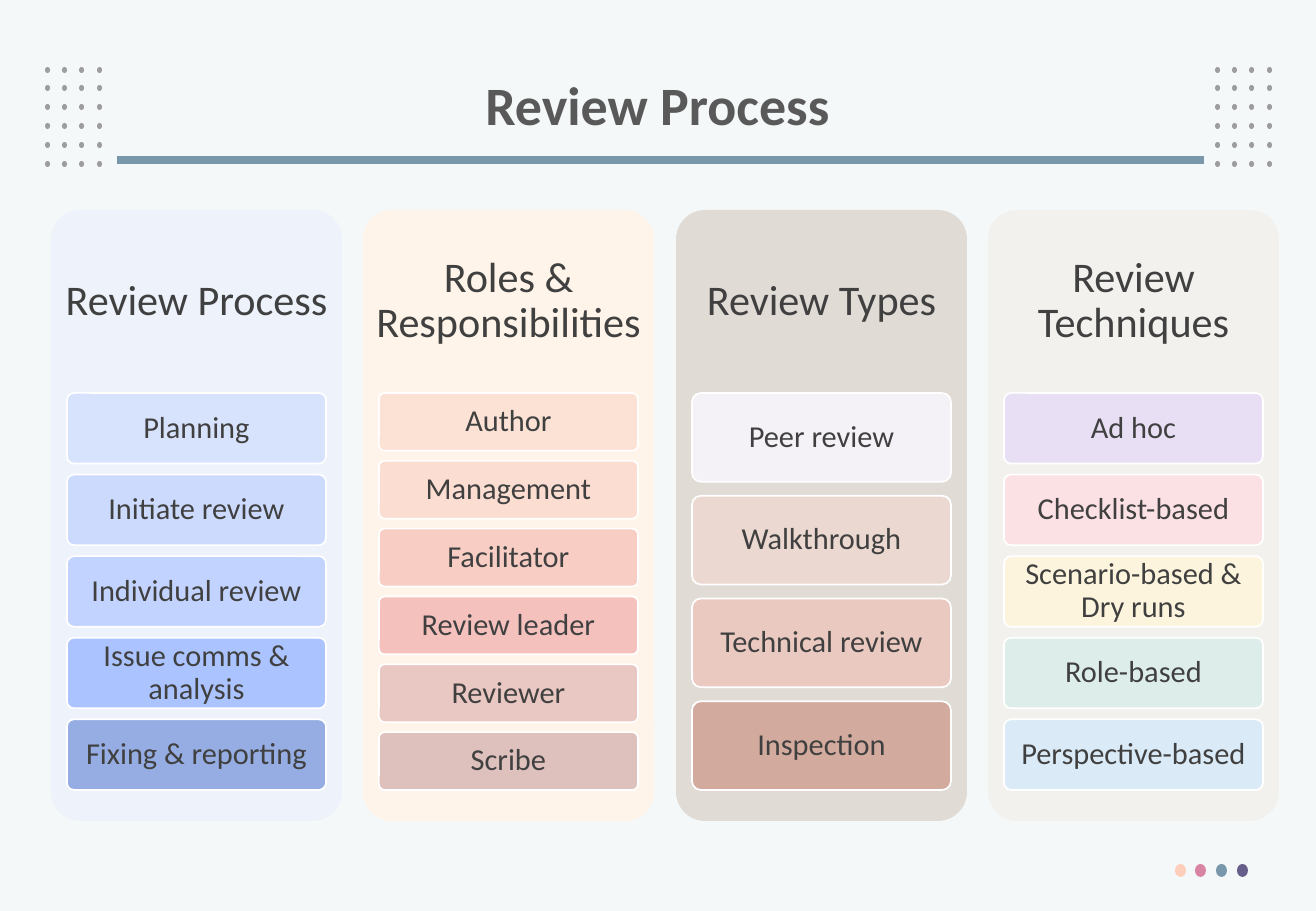
import pptx
import pptx.util
import pptx.dml.color
import pptx.enum.shapes
import pptx.enum.text
import lxml.etree

PX = 914400 / 121.5
SHAPE = pptx.enum.shapes.MSO_SHAPE


def px(n):
    return pptx.util.Emu(round(n * PX))


def rgb(value):
    return pptx.dml.color.RGBColor.from_string(value)


prs = pptx.Presentation()
prs.slide_width = px(1316)
prs.slide_height = px(911)
s = prs.slides.add_slide(prs.slide_layouts[6])
s.background.fill.solid()
s.background.fill.fore_color.rgb = rgb("F5F8F9")

dots = []
for row in range(6):
    for left in (45, 1215):
        for col in range(4):
            dots.append((left + col * 52 // 3, 67 + row * 94 // 5, 5, 6, "9D9D9D"))
for i, color in enumerate(("FDCEB9", "D885A3", "7897AB", "655D8A")):
    dots.append((1175 + i * 62 // 3, 864, 11, 13, color))

for x, y, w, h, color in dots:
    sp = s.shapes.add_shape(SHAPE.OVAL, px(x), px(y), px(w), px(h))
    sp.shadow.inherit = False
    sp.fill.solid()
    sp.fill.fore_color.rgb = rgb(color)
    sp.line.fill.background()

rule = s.shapes.add_connector(
    pptx.enum.shapes.MSO_CONNECTOR.STRAIGHT, px(117), px(160), px(1204), px(160))
rule.line.color.rgb = rgb("7897AB")
rule.line.width = pptx.util.Pt(5.25)
lxml.etree.SubElement(rule.element.spPr, pptx.oxml.ns.qn("a:effectLst"))

title = s.shapes.add_textbox(px(90), px(49), px(1135), px(119))
texts = [(title, "Review Process", 32, "595959", True, 12, 6)]

columns = [
    ("Review Process", "EDF2FB", [
        ("Planning", "D7E3FC"),
        ("Initiate review", "CCDBFD"),
        ("Individual review", "C1D3FE"),
        ("Issue comms & analysis", "ABC4FF"),
        ("Fixing & reporting", "95ADE2")]),
    ("Roles & Responsibilities", "FFF4E9", [
        ("Author", "FCE2D5"),
        ("Management", "FBDDD1"),
        ("Facilitator", "F7CDC4"),
        ("Review leader", "F4C1BD"),
        ("Reviewer", "E9C7C2"),
        ("Scribe", "DEC1BD")]),
    ("Review Types", "E1DBD6", [
        ("Peer review", "F4F1F7"),
        ("Walkthrough", "EBD8D0"),
        ("Technical review", "EAC9C1"),
        ("Inspection", "D3AB9E")]),
    ("Review Techniques", "F2F1ED", [
        ("Ad hoc", "E8DFF5"),
        ("Checklist-based", "FCE1E4"),
        ("Scenario-based & Dry runs", "FCF4DD"),
        ("Role-based", "DDEDEA"),
        ("Perspective-based", "DAEAF6")]),
]

for i, (heading, panel_color, items) in enumerate(columns):
    x = 51 + i * 625 // 2
    panel = s.shapes.add_shape(SHAPE.ROUNDED_RECTANGLE, px(x), px(210), px(291), px(611))
    panel.adjustments[0] = 0.1
    panel.shadow.inherit = False
    panel.fill.solid()
    panel.fill.fore_color.rgb = rgb(panel_color)
    panel.line.fill.background()
    box = s.shapes.add_textbox(px(x), px(210), px(291), px(183))
    texts.append((box, heading, 25, "404040", False, 12, 12))

    pitch = 408 if len(items) == 5 else 407 if len(items) == 6 else 411
    step = pitch / len(items)
    height = 397 - step * (len(items) - 1)
    for j, (label, color) in enumerate(items):
        sp = s.shapes.add_shape(
            SHAPE.ROUNDED_RECTANGLE, px(x + 16), px(393 + j * step), px(259), px(height))
        sp.adjustments[0] = 0.1
        sp.shadow.inherit = False
        sp.fill.solid()
        sp.fill.fore_color.rgb = rgb(color)
        sp.line.color.rgb = rgb("FFFFFF")
        sp.line.width = pptx.util.Pt(1)
        texts.append((sp, label, 18, "404040", False, 6, 5))

for sp, text, size, color, bold, side, edge in texts:
    tf = sp.text_frame
    tf.word_wrap = True
    tf.vertical_anchor = pptx.enum.text.MSO_ANCHOR.MIDDLE
    tf.margin_left = tf.margin_right = px(side)
    tf.margin_top = tf.margin_bottom = px(edge)
    p = tf.paragraphs[0]
    p.alignment = pptx.enum.text.PP_ALIGN.CENTER
    p.line_spacing = 0.9
    r = p.add_run()
    r.text = text
    r.font.name = "Calibri"
    r.font.size = pptx.util.Pt(size)
    r.font.bold = bold
    r.font.color.rgb = rgb(color)

prs.save("out.pptx")
